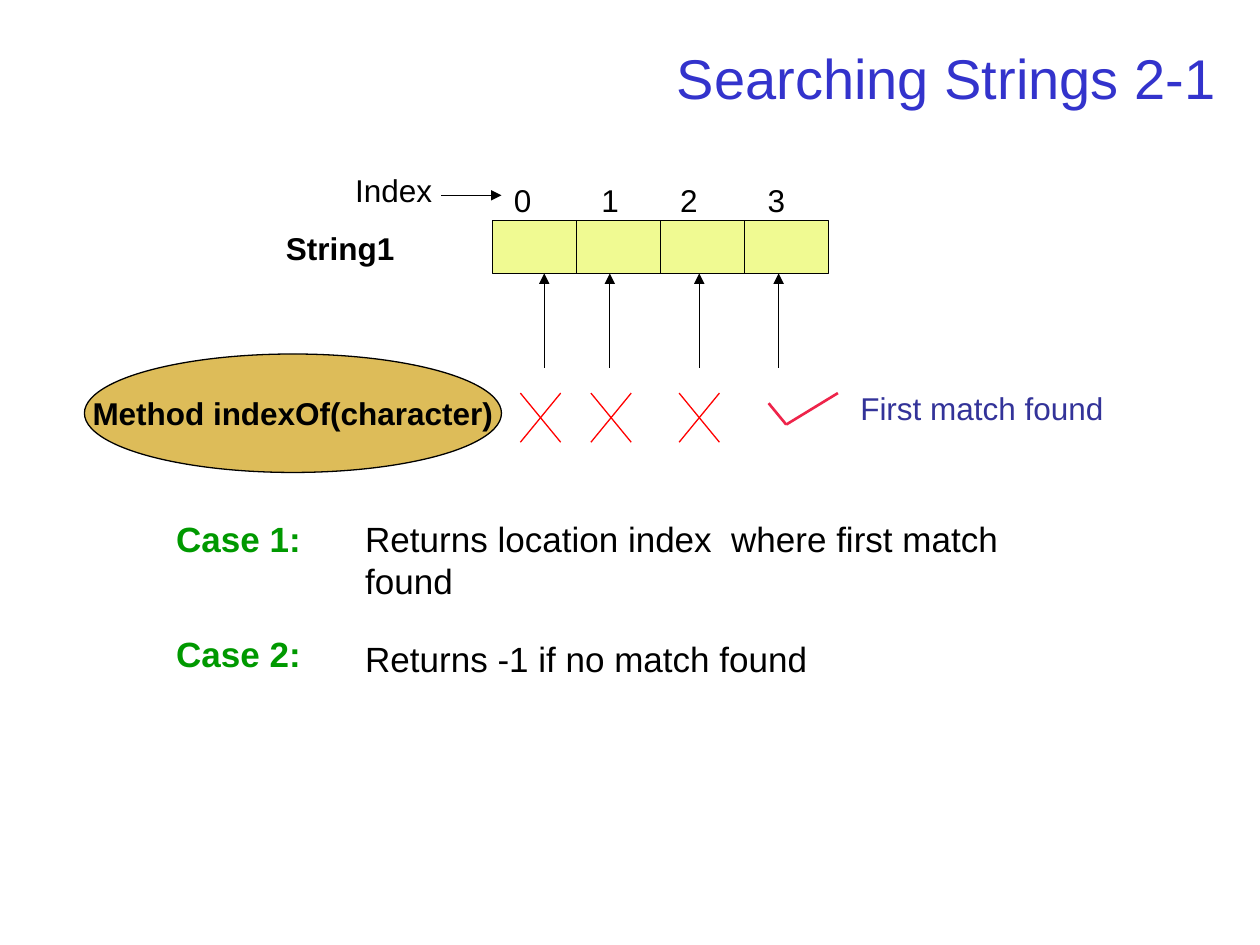
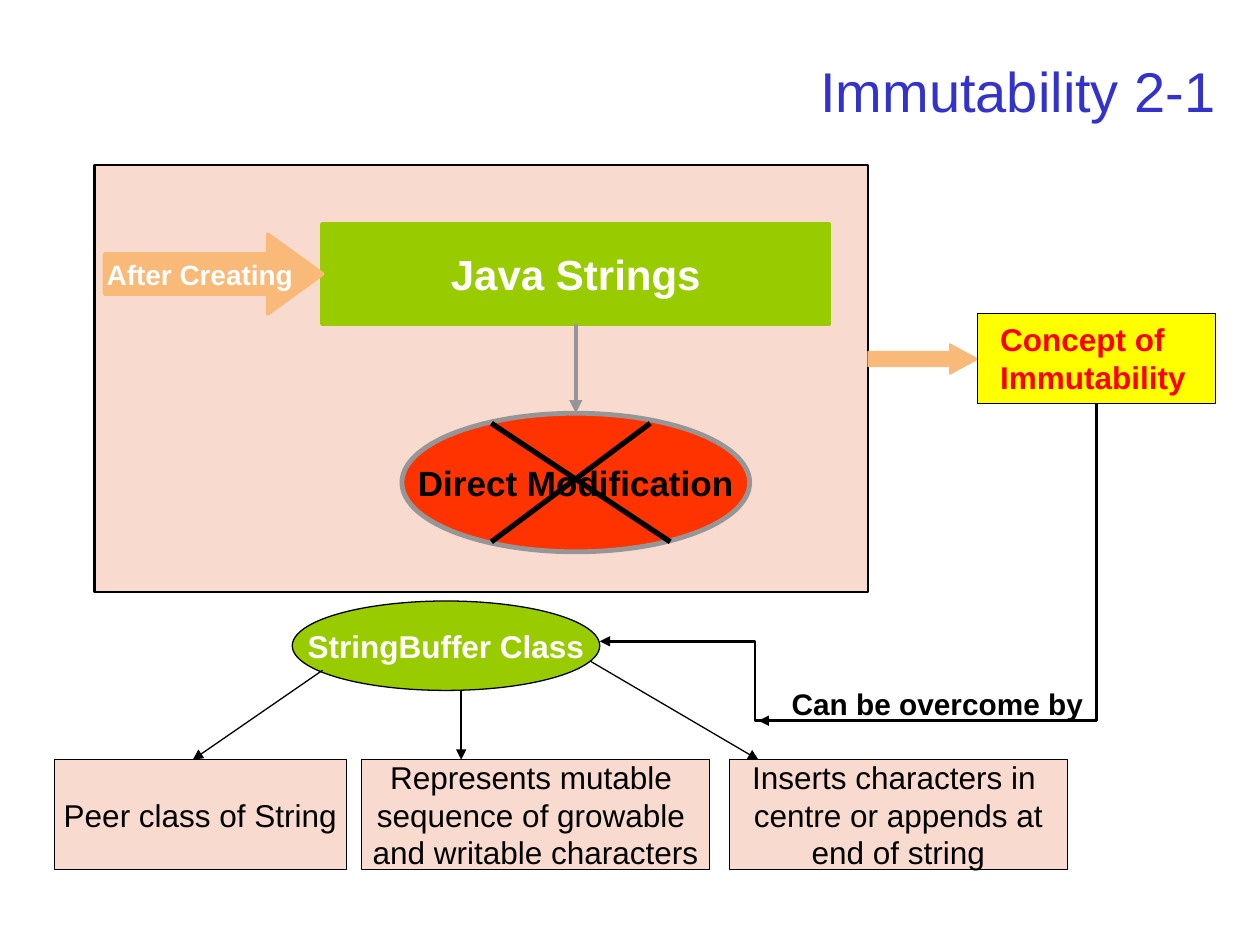
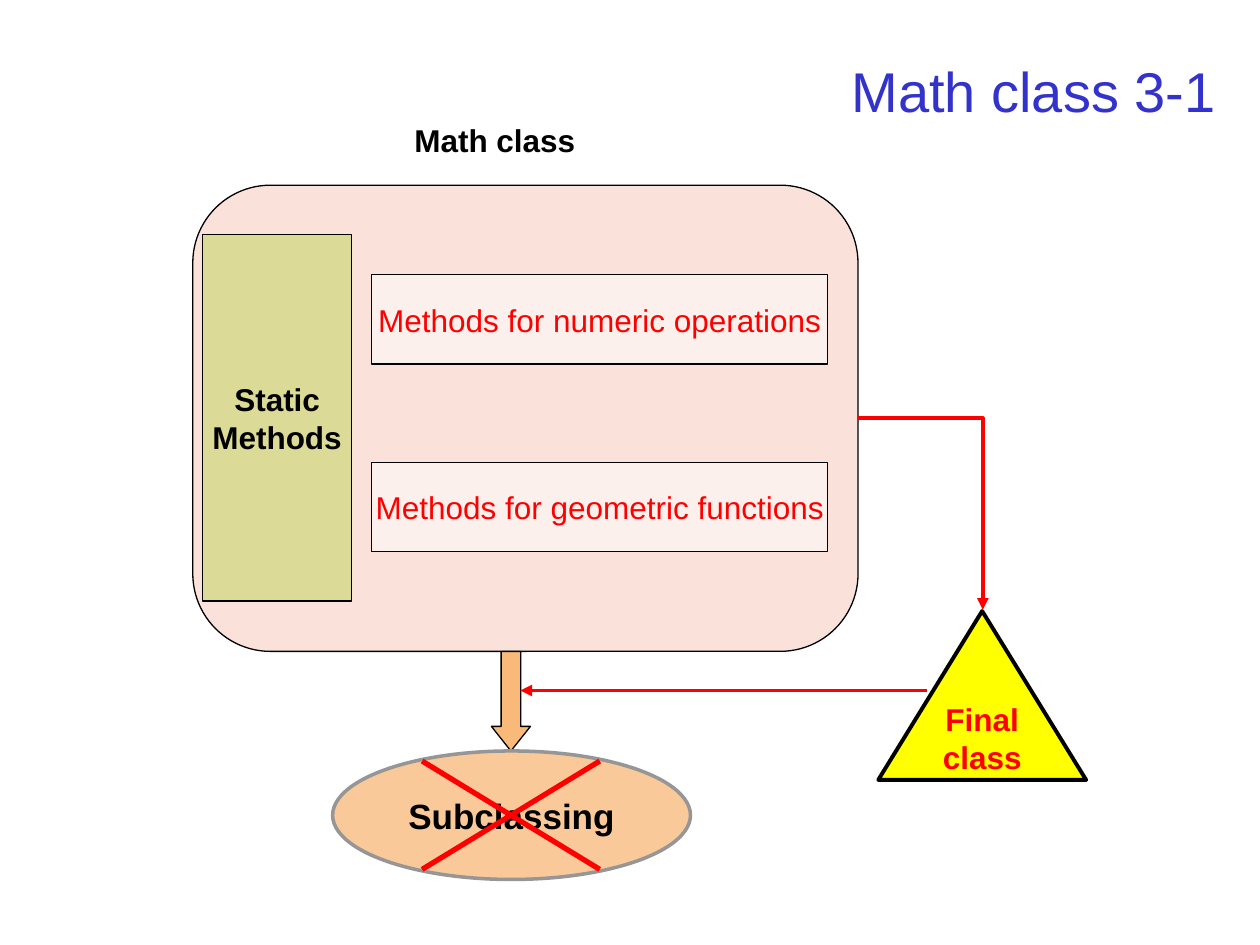
from dataclasses import dataclass

from lxml.etree import SubElement
from pptx import Presentation
from pptx.dml.color import RGBColor as RGB
from pptx.enum.shapes import MSO_CONNECTOR as CXN, MSO_SHAPE as SHAPE
from pptx.enum.text import MSO_ANCHOR as ANCHOR, PP_ALIGN as ALIGN
from pptx.oxml.ns import qn
from pptx.util import Inches, Pt

COLS, ROWS = 100, 75  # the slide's grid: all places below are columns and rows


@dataclass(frozen=True)
class Theme:
    font: str = "Arial"
    title: str = "3333CC"
    black: str = "000000"
    white: str = "FFFFFF"
    red: str = "FF0000"
    check: str = "EE244A"
    case: str = "009900"
    navy: str = "333399"
    cell: str = "F0FA92"
    gold: str = "CC9900"
    pink: str = "F3B6A1"
    lime: str = "99CC00"
    orange: str = "F9B979"
    scarlet: str = "FF3300"
    gray: str = "969696"
    yellow: str = "FFFF00"
    title_size: int = 32
    banner_size: int = 24
    large: int = 20
    body: int = 18
    caption: int = 17
    small: int = 16
    thin: float = 0.75
    medium: float = 1.5
    strong: float = 2.25
    thick: float = 2.75
    heavy: float = 3


T = Theme()


def write(tf, text, size=T.body, color=T.black, bold=False, align=ALIGN.LEFT,
          anchor=ANCHOR.TOP, wrap=True, tabs=()):
    """Fill a text frame, one paragraph per line of text."""
    tf.word_wrap, tf.vertical_anchor = wrap, anchor
    for i, line in enumerate(text.split("\n")):
        p = tf.paragraphs[0] if i == 0 else tf.add_paragraph()
        p.alignment = align
        if tabs:
            stops = SubElement(p._p.get_or_add_pPr(), qn("a:tabLst"))
            for pos in tabs:
                SubElement(stops, qn("a:tab"), pos=str(int(pos)), algn="l")
        r = p.add_run()
        r.text = line
        r.font.name, r.font.size, r.font.bold = T.font, Pt(size), bold
        r.font.color.rgb = RGB.from_string(color)


class Deck:
    def __init__(self):
        self.prs = Presentation()
        self.prs.slide_width, self.prs.slide_height = Inches(10), Inches(7.5)
        self.slide = None

    def x(self, col):
        return round(self.prs.slide_width * col / COLS)

    def y(self, row):
        return round(self.prs.slide_height * row / ROWS)

    def box(self, col, row, w, h):
        return self.x(col), self.y(row), self.x(w), self.y(h)

    def new_slide(self, title, height=8.7):
        self.slide = self.prs.slides.add_slide(self.prs.slide_layouts[6])
        self.text(title, 7.5, 2.8, 90, height, size=T.title_size, color=T.title,
                  align=ALIGN.RIGHT, anchor=ANCHOR.MIDDLE)

    def text(self, text, col, row, w, h=4, **fmt):
        sp = self.slide.shapes.add_textbox(*self.box(col, row, w, h))
        write(sp.text_frame, text, **fmt)

    def shape(self, kind, col, row, w, h, fill, text="", line=T.black,
              weight=T.thin, opacity=100, adj=(), **fmt):
        sp = self.slide.shapes.add_shape(kind, *self.box(col, row, w, h))
        sp.shadow.inherit = False
        for i, value in enumerate(adj):
            sp.adjustments[i] = value
        sp.fill.solid()
        sp.fill.fore_color.rgb = RGB.from_string(fill)
        if opacity < 100:
            clr = sp._element.spPr.find(f".//{qn('a:srgbClr')}")
            SubElement(clr, qn("a:alpha"), val=str(opacity * 1000))
        sp.line.color.rgb = RGB.from_string(line)
        sp.line.width = Pt(weight)
        if text:
            write(sp.text_frame, text, align=ALIGN.CENTER, anchor=ANCHOR.MIDDLE,
                  wrap=False, **fmt)
        return sp

    def style_line(self, cxn, color, weight, arrow):
        cxn.line.color.rgb = RGB.from_string(color)
        cxn.line.width = Pt(weight)
        if arrow:
            SubElement(cxn.line._get_or_add_ln(), qn("a:tailEnd"), type="triangle")
        SubElement(cxn._element.spPr, qn("a:effectLst"))

    def line(self, start, end, color=T.black, weight=T.thin, arrow=False):
        (x1, y1), (x2, y2) = start, end
        cxn = self.slide.shapes.add_connector(
            CXN.STRAIGHT, self.x(x1), self.y(y1), self.x(x2), self.y(y2))
        self.style_line(cxn, color, weight, arrow)
        return cxn

    def elbow(self, start, end, turn=0, bend=None, color=T.black, weight=T.medium):
        """Arrow with one corner, or with two when bend says where it turns."""
        (x1, y1), (x2, y2) = start, end
        w, h = abs(x2 - x1), abs(y2 - y1)
        if turn % 180:
            w, h = h, w
        left, top = (x1 + x2 - w) / 2, (y1 + y2 - h) / 2
        cxn = self.slide.shapes.add_connector(
            CXN.ELBOW, self.x(left), self.y(top), self.x(left + w), self.y(top + h))
        spPr = cxn._element.spPr
        if turn:
            spPr.find(qn("a:xfrm")).set("rot", str(turn * 60000))
        geom = spPr.find(qn("a:prstGeom"))
        if bend is None:
            geom.set("prst", "bentConnector2")
        else:
            guides = geom.find(qn("a:avLst"))
            SubElement(guides, qn("a:gd"), name="adj1", fmla=f"val {round(bend * 100000)}")
        self.style_line(cxn, color, weight, True)

    def cross(self, col, row, w, h, **style):
        self.line((col, row), (col + w, row + h), **style)
        self.line((col + w, row), (col, row + h), **style)


def searching_strings(d):
    d.new_slide("Searching Strings 2-1", height=6.6)

    # Indexed cells of the string
    d.text("String1 ", 16.5, 17.7, 21.7, bold=True, align=ALIGN.CENTER)
    for i in range(4):
        d.shape(SHAPE.RECTANGLE, 39.1 + i * 6.67, 17.5, 6.67, 4.2, T.cell)
    d.text("Index", 27.2, 13.1, 11)
    d.line((35, 15.5), (39.8, 15.5), arrow=True)
    d.text("0\t1\t2\t3", 39.8, 13.9, 24.4, tabs=[d.x(c) for c in (6.95, 13.2, 20.15)])

    # Method and its comparisons
    d.shape(SHAPE.OVAL, 6.7, 28.1, 33.1, 9.4, T.gold, "Method indexOf(character)",
            opacity=65, bold=True)
    for col in (43.2, 48.4, 55.5, 61.8):
        d.line((col, 29.2), (col, 21.7), arrow=True)
    for col in (41.3, 46.9, 53.9):
        d.cross(col, 31.2, 3.2, 3.9, color=T.red)
    d.line((61, 32), (62.4, 33.7), T.check, T.medium)
    d.line((62.4, 33.7), (66.5, 31.2), T.check, T.medium)
    d.text("First match found", 67.3, 30.4, 23.6, color=T.navy)

    # Cases
    for label, label_row, result, row, w in (
            ("Case 1:", 40.6, "Returns location index  where first match found", 40.6, 59.8),
            ("Case 2:", 49.7, "Returns -1 if no match found", 50.1, 42.5)):
        d.text(label, 13, label_row, 18.9, size=T.large, color=T.case, bold=True)
        d.text(result, 28, row, w, size=T.large)


def immutability(d):
    d.new_slide("Immutability 2-1")

    # Strings cannot be modified
    d.shape(SHAPE.RECTANGLE, 7.5, 13.1, 61.4, 33.9, T.pink, weight=T.medium, opacity=50)
    strings = d.shape(SHAPE.RECTANGLE, 25.6, 17.8, 40.2, 7.9, T.lime, "Java Strings",
                      line=T.lime, weight=T.thick, size=T.banner_size,
                      color=T.white, bold=True)
    d.shape(SHAPE.RIGHT_ARROW, 8.3, 18.6, 17.3, 6.3, T.orange, "After Creating",
            line=T.orange, weight=T.strong, adj=(0.5, 0.69), size=T.small,
            color=T.white, bold=True)
    change = d.shape(SHAPE.OVAL, 31.9, 32.8, 27.6, 11, T.scarlet, "Direct Modification",
                     line=T.gray, weight=T.thick, size=T.large, bold=True)
    d.line((39, 33.6), (53.2, 43), weight=T.heavy)
    d.line((51.6, 33.6), (39, 43), weight=T.heavy)
    cxn = d.line((45.7, 25.7), (45.7, 32.8), T.gray, 2.5, arrow=True)
    cxn.begin_connect(strings, 2)
    cxn.end_connect(change, 0)

    # Concept and the way around it
    d.shape(SHAPE.RIGHT_ARROW, 68.9, 27.3, 8.7, 2.4, T.orange, line=T.orange,
            adj=(0.5, 0.92))
    d.shape(SHAPE.RECTANGLE, 77.6, 24.9, 18.9, 7.1, T.yellow)
    d.text("Concept of\nImmutability", 78.4, 24.9, 18, 7, color=T.red, bold=True)
    d.elbow((87, 32), (60.2, 57.2), turn=90)
    d.text("Can be overcome by", 61.8, 53.9, 25.2, size=T.caption, bold=True,
           align=ALIGN.CENTER)
    d.elbow((61, 57.2), (47.6, 50.9), turn=180, bend=0.08)

    # StringBuffer and its traits
    d.shape(SHAPE.OVAL, 23.2, 47.7, 24.4, 7.1, T.lime, "StringBuffer Class",
            color=T.white, bold=True)
    for col, w, trait, start, tip in (
            (4.3, 23.2, "Peer class of String", (25.6, 53.2), 15.3),
            (28.7, 27.6, "Represents mutable \nsequence of growable \nand writable characters",
             (36.6, 54.8), 36.6),
            (57.9, 26.8, "Inserts characters in \ncentre or appends at\nend of string",
             (46.9, 52.5), 60.2)):
        d.shape(SHAPE.RECTANGLE, col, 60.3, w, 8.7, T.pink, trait, opacity=50)
        d.line(start, (tip, 60.3), arrow=True)


def math_class(d):
    d.new_slide("Math class 3-1")

    # Class and its methods
    d.shape(SHAPE.FLOWCHART_ALTERNATE_PROCESS, 15.3, 14.7, 52.8, 37, T.pink, opacity=40)
    d.text("Math class", 31.9, 9.1, 26.8, bold=True)
    for row, topic in ((21.8, "numeric operations"), (36.7, "geometric functions")):
        d.shape(SHAPE.RECTANGLE, 29.5, row, 36.2, 7.1, T.white, f"Methods for {topic}",
                opacity=50, color=T.red)
    d.shape(SHAPE.RECTANGLE, 16.1, 18.6, 11.8, 29.1, T.lime, "Static\nMethods",
            opacity=30, bold=True)

    # No subclassing
    d.shape(SHAPE.DOWN_ARROW, 39, 51.7, 3.1, 7.9, T.orange, adj=(0.5, 0.63))
    d.shape(SHAPE.OVAL, 26.4, 59.6, 28.4, 10.2, T.orange, "Subclassing", line=T.gray,
            weight=2, opacity=76, size=T.large, bold=True)
    d.cross(33.5, 60.4, 14.1, 8.6, color=T.red, weight=T.heavy)

    # Final class
    d.shape(SHAPE.ISOSCELES_TRIANGLE, 69.7, 48.5, 16.5, 13.4, T.yellow, "Final\nclass",
            weight=T.strong, color=T.red, bold=True)
    d.elbow((68.1, 33.2), (78, 48.4), color=T.red, weight=T.strong)
    d.line((73.6, 54.8), (41.3, 54.8), T.red, T.strong, arrow=True)


def main():
    d = Deck()
    for build in (searching_strings, immutability, math_class):
        build(d)
    d.prs.save("out.pptx")


if __name__ == "__main__":
    main()
